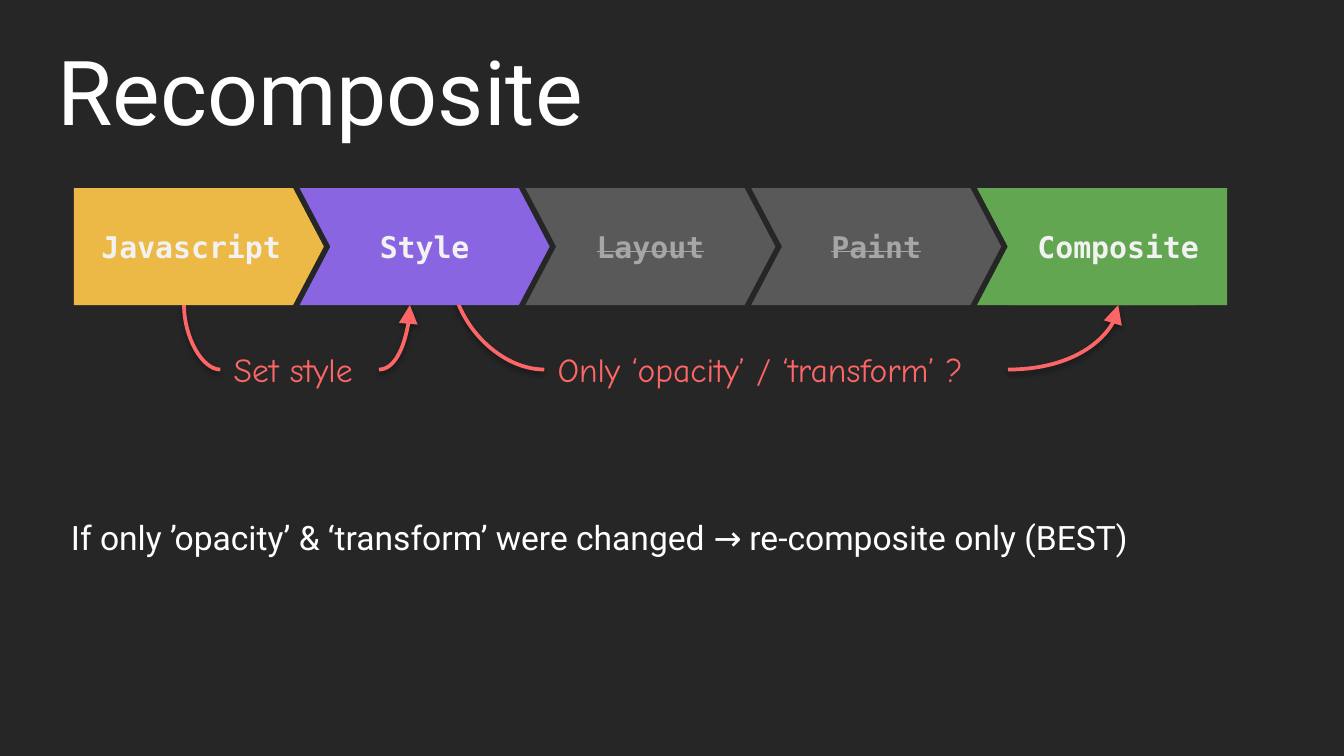
from lxml import etree
from pptx import Presentation
from pptx.dml.color import RGBColor as RGB
from pptx.enum.shapes import MSO_CONNECTOR as Conn, MSO_SHAPE as Shape
from pptx.enum.text import MSO_ANCHOR as Anchor, MSO_AUTO_SIZE as Fit, PP_ALIGN as Align
from pptx.oxml import parse_xml
from pptx.oxml.ns import nsdecls, qn
from pptx.util import Inches, Pt

HUES = {
    "back": "262626", "white": "FFFFFF", "red": "FD6666",
    "gold": "ECB946", "violet": "8965E1", "grey": "595959", "green": "63A652",
    "pale": "F2F2F2", "dim": "A6A6A6",
}
SHADOW = f"""<a:effectLst {nsdecls("a")}>
  <a:outerShdw blurRad="{Pt(3.1)}" dist="{Pt(1.6)}" dir="5400000" rotWithShape="0">
    <a:srgbClr val="000000"><a:alpha val="38000"/></a:srgbClr>
  </a:outerShdw>
</a:effectLst>"""


def hue(name):
    return RGB.from_string(HUES[name])


def write(frame, text, size, face, color):
    run = frame.paragraphs[0].add_run()
    run.text = text
    run.font.size = Pt(size)
    run.font.name = face
    run.font.color.rgb = hue(color)
    return run


# Slide in 16:9
deck = Presentation()
deck.slide_width, deck.slide_height = Inches(10), Inches(10 * 9 / 16)
slide = deck.slides.add_slide(deck.slide_layouts[6])
slide.background.fill.solid()
slide.background.fill.fore_color.rgb = hue("back")

# Curved arrows: leave the label sideways, meet the stage upright.
# The one that ends inside the Style stage comes first, to lie behind it.
label_y, base_y = 2.75, 2.27
for x1, x2, y2, head in [
    (4.05, 3.36, 2.01, False),
    (1.64, 1.37, base_y, False),
    (2.82, 3.05, base_y, True),
    (7.5, 8.32, base_y, True),
]:
    curve = slide.shapes.add_connector(
        Conn.CURVE, Inches(x1), Inches(label_y), Inches(x2), Inches(y2))
    curve.line.color.rgb = hue("red")
    curve.line.width = Pt(2)
    props = curve._element.spPr
    props.find(qn("a:prstGeom")).set("prst", "curvedConnector2")
    if head:
        etree.SubElement(props.find(qn("a:ln")), qn("a:tailEnd"),
                         type="triangle", w="lg", len="lg")
    props.append(parse_xml(SHADOW))

# Pipeline stages
left, top, width, height, step = 0.55, 1.4, 1.86, 0.87, 1.68
for i, (name, fill, color) in enumerate([
    ("Javascript", "gold", "pale"),
    ("Style", "violet", "pale"),
    ("Layout", "grey", "dim"),
    ("Paint", "grey", "dim"),
    ("Composite", "green", "pale"),
]):
    x = left + i * step
    parts = [(Shape.PENTAGON if i == 0 else Shape.CHEVRON, x, width, 0.263)]
    home = slide.shapes
    if name == "Composite":  # a square-ended block covers the last tip
        parts.append((Shape.CHEVRON, x + 0.24, width - 0.24, 0))
        home = slide.shapes.add_group_shape().shapes
    for kind, px, pw, point in parts:
        stage = home.add_shape(kind, Inches(px), Inches(top), Inches(pw), Inches(height))
        stage.adjustments[0] = point
        stage.shadow.inherit = False
        stage.fill.solid()
        stage.fill.fore_color.rgb = hue(fill)
        stage.line.fill.background()
    frame = stage.text_frame
    frame.vertical_anchor = Anchor.MIDDLE
    frame.paragraphs[0].alignment = Align.CENTER
    run = write(frame, name, 16, "DejaVu Sans Mono", color)
    run.font.bold = True
    if color == "dim":
        run.font._element.set("strike", "sngStrike")

# Title, arrow labels and conclusion
for text, x, y, w, h, size, face, color in [
    ("Recomposite", 0.33, 0.22, 9.34, 0.89, 48, "Roboto", "white"),
    ("Set style", 1.64, 2.55, 1.19, 0.4, 18, "Comic Neue", "red"),
    ("Only ‘opacity’ / ‘transform’ ?", 4.05, 2.55, 3.45, 0.4, 18, "Comic Neue", "red"),
    ("If only ’opacity’ & ‘transform’ were changed → re-composite only (BEST)",
     0.43, 3.5, 9.57, 0.66, 18, "Roboto", "white"),
]:
    frame = slide.shapes.add_textbox(Inches(x), Inches(y), Inches(w), Inches(h)).text_frame
    frame.word_wrap = color == "white"
    if size == 48:
        frame.vertical_anchor = Anchor.MIDDLE
    else:
        frame.auto_size = Fit.SHAPE_TO_FIT_TEXT
    if text.startswith("If"):
        frame.paragraphs[0].line_spacing = 2.0
    write(frame, text, size, face, color)

deck.save("out.pptx")
